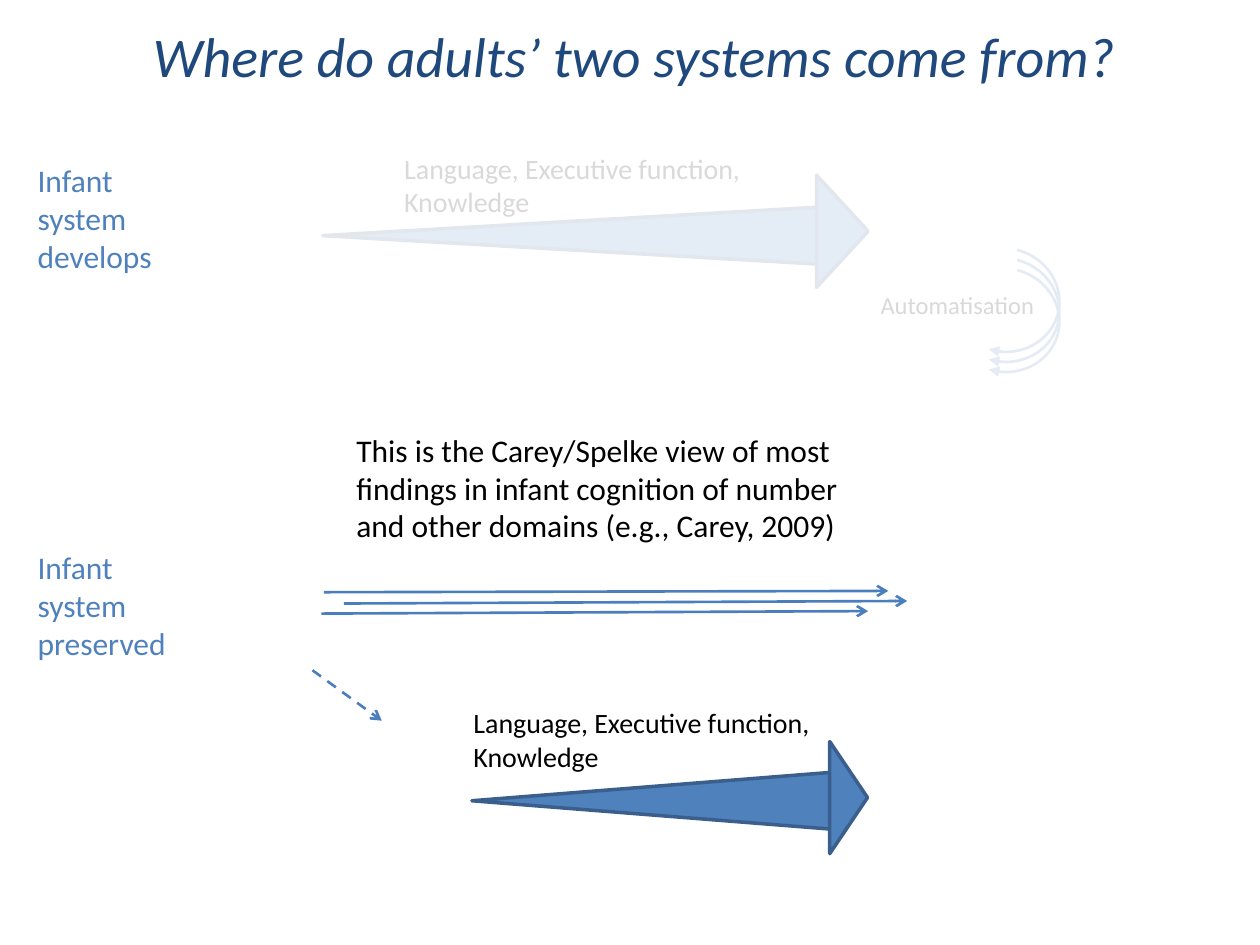
from dataclasses import dataclass

from lxml.etree import SubElement
from pptx import Presentation
from pptx.dml.color import RGBColor
from pptx.enum.dml import MSO_LINE as Dash
from pptx.enum.shapes import MSO_CONNECTOR as Link, MSO_SHAPE as Kind
from pptx.enum.text import MSO_ANCHOR as Anchor, PP_ALIGN as Align
from pptx.oxml.ns import qn
from pptx.util import Inches, Pt


@dataclass(frozen=True)
class Theme:
    font: str = "Calibri"
    title: str = "1F497D"
    blue: str = "4F81BD"
    edge: str = "3A5F8C"
    line: str = "4B7EBC"
    ink: str = "000000"
    veil: str = "FFFFFF"
    huge: int = 32
    big: int = 18
    mid: int = 16
    small: int = 14
    thin: float = 1.5
    thick: float = 2


def write(frame, text, size, color, italic=False, align=Align.LEFT):
    frame.word_wrap = True
    para = frame.paragraphs[0]
    para.alignment = align
    run = para.add_run()
    run.text = text
    font = run.font
    font.name, font.size, font.italic = Theme.font, Pt(size), italic
    font.color.rgb = RGBColor.from_string(color)


class Page:
    def __init__(self, slide, theme):
        self.slide, self.theme = slide, theme

    def title(self, text, *box):
        shape = self.slide.shapes.title
        shape.left, shape.top, shape.width, shape.height = map(Inches, box)
        shape.text_frame.vertical_anchor = Anchor.MIDDLE
        write(shape.text_frame, text, self.theme.huge, self.theme.title,
              italic=True, align=Align.CENTER)

    def text(self, text, *box, size, color=Theme.ink):
        shape = self.slide.shapes.add_textbox(*map(Inches, box))
        write(shape.text_frame, text, size, color)

    def stroke(self, line, color, width, tip=None):
        """Style a line; tip names the arrowhead at its far end."""
        line.color.rgb = RGBColor.from_string(color)
        line.width = Pt(width)
        if tip:
            SubElement(line._ln, qn("a:tailEnd"), type=tip)

    def shape(self, kind, *box, turn=0, fill=None, edge, width, tip=None, home=None):
        host = home or self.slide
        shape = host.shapes.add_shape(kind, *map(Inches, box))
        shape.shadow.inherit = False
        shape.rotation = turn
        if fill:
            shape.fill.solid()
            shape.fill.fore_color.rgb = RGBColor.from_string(fill)
        else:
            shape.fill.background()
        self.stroke(shape.line, edge, width, tip)
        return shape

    def wedge(self, shaft, head):
        """Group two turned triangles into one growing arrow."""
        group = self.slide.shapes.add_group_shape()
        for box, turn in ((shaft, 270), (head, 90)):
            self.shape(Kind.ISOSCELES_TRIANGLE, *box, turn=turn, home=group,
                       fill=self.theme.blue, edge=self.theme.edge,
                       width=self.theme.thick)

    def arrow(self, *ends, dash=None):
        link = self.slide.shapes.add_connector(Link.STRAIGHT, *map(Inches, ends))
        SubElement(link._element.spPr, qn("a:effectLst"))
        if dash:
            link.line.dash_style = dash
        self.stroke(link.line, self.theme.line, self.theme.thin, "arrow")

    def curve(self, *box):
        arc = self.shape(Kind.ARC, *box, turn=14.6, edge=self.theme.line,
                         width=self.theme.thin, tip="triangle")
        arc.adjustments[0], arc.adjustments[1] = 162, 55.56

    def cover(self, *box, alpha):
        """Fade what lies below with a partly clear panel."""
        panel = self.shape(Kind.RECTANGLE, *box, fill=self.theme.veil,
                           edge=self.theme.veil, width=self.theme.thick)
        color = panel._element.spPr.find(qn("a:solidFill"))[0]
        SubElement(color, qn("a:alpha"), val=str(alpha * 1000))


def main():
    deck = Presentation()
    deck.slide_width, deck.slide_height = Inches(10), Inches(7.5)
    theme = Theme()
    page = Page(deck.slides.add_slide(deck.slide_layouts[5]), theme)
    skills = "Language, Executive function, Knowledge"

    page.title("Where do adults’ two systems come from?", 0.31, 0.13, 9.45, 0.61)
    page.wedge((4.97, 4.9, 0.46, 2.91), (6.29, 6.18, 0.89, 0.3))
    page.wedge((4.33, -0.13, 0.46, 4), (6.24, 1.63, 0.89, 0.41))

    for ends in ((2.57, 4.7, 7.05, 4.69), (2.73, 4.79, 7.2, 4.77),
                 (2.55, 4.87, 6.89, 4.85)):
        page.arrow(*ends)
    page.arrow(2.48, 5.32, 3.03, 5.72, dash=Dash.DASH)

    for i in range(3):
        page.curve(7.53, 1.97 + 0.08 * i, 0.88, 0.82)

    for left, top in ((3.11, 1.15), (3.66, 5.55)):
        page.text(skills, left, top, 3.23, 0.64, size=theme.mid)
    page.text("Automatisation", 6.89, 2.25, 1.89, 0.34, size=theme.small)
    for fate, top in (("develops", 1.23), ("preserved", 4.3)):
        page.text(f"Infant system {fate}", 0.2, top, 1.26, 1.01,
                  size=theme.big, color=theme.blue)

    page.cover(1.38, 0.92, 7.8, 2.83, alpha=85)
    page.text("This is the Carey/Spelke view of most findings in infant cognition "
              "of number and other domains (e.g., Carey, 2009)",
              2.73, 3.37, 4.22, 1.01, size=theme.big)

    deck.save("out.pptx")


if __name__ == "__main__":
    main()
